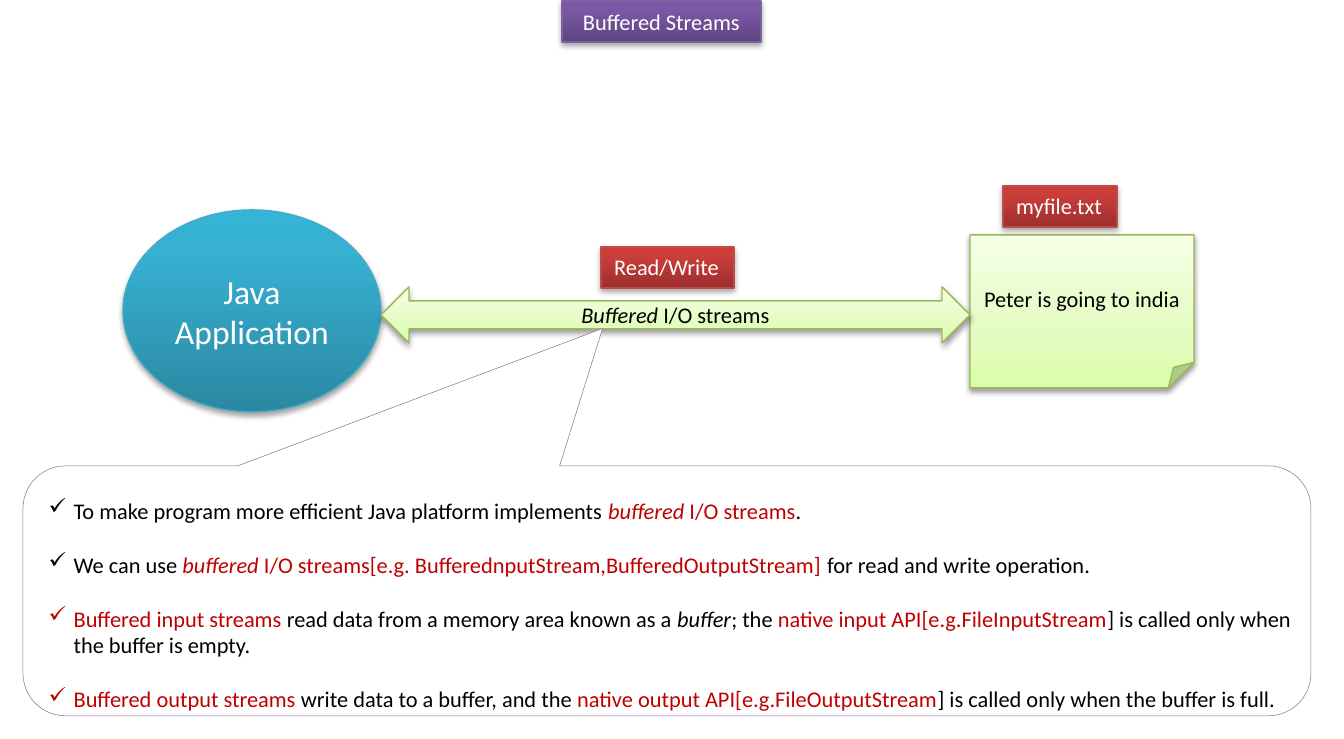
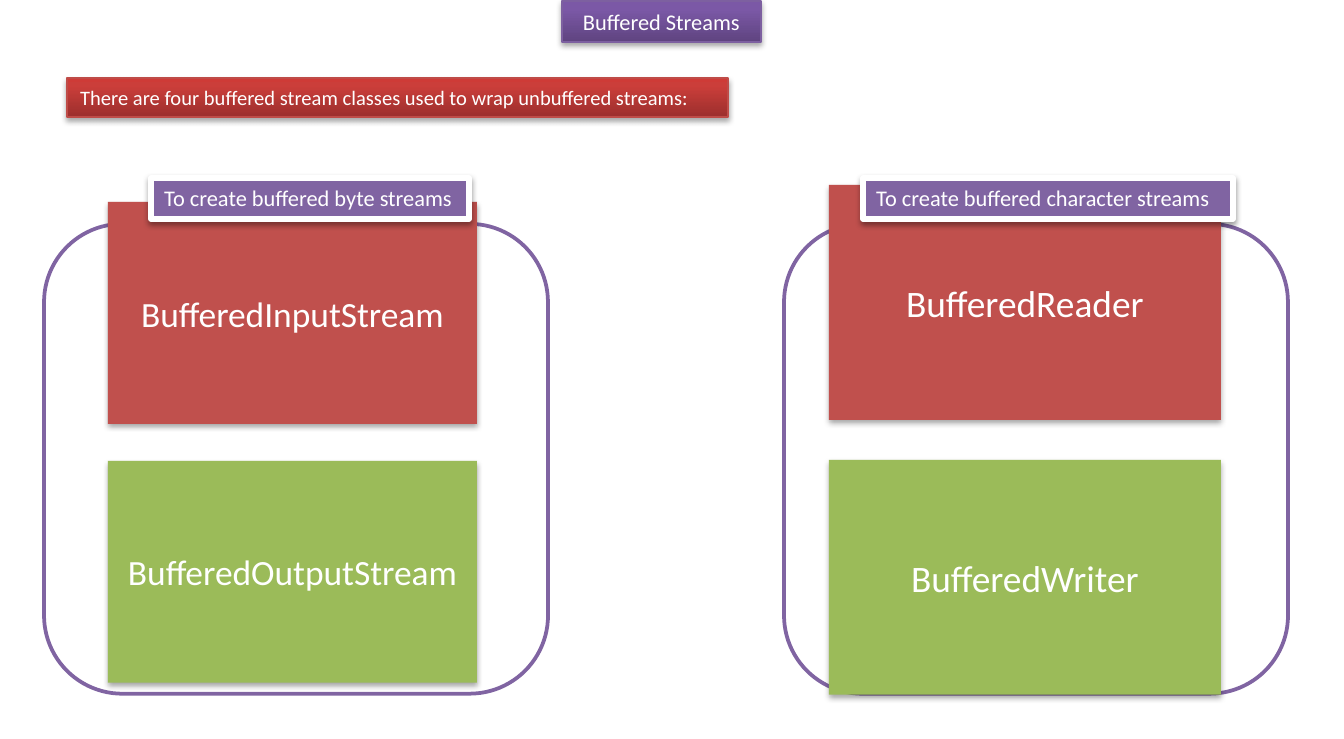
from lxml import etree
from pptx import Presentation, util as u
from pptx.dml.color import RGBColor
from pptx.enum import shapes, text
from pptx.oxml.ns import qn

PX = 914400 / 134.4
KIND = shapes.MSO_SHAPE
LEFT, CENTER = text.PP_ALIGN.LEFT, text.PP_ALIGN.CENTER
TOP, MIDDLE = text.MSO_ANCHOR.TOP, text.MSO_ANCHOR.MIDDLE

WHITE = RGBColor(0xFF, 0xFF, 0xFF)
BLACK = RGBColor(0, 0, 0)
CRIMSON = RGBColor(0xC0, 0, 0)
RED = RGBColor(0xC0, 0x50, 0x4D)
GREEN = RGBColor(0x9B, 0xBB, 0x59)
PURPLE = RGBColor(0x80, 0x64, 0xA2)

# Gradients run from the bottom up: (position in percent, colour)
PURPLE_FADE = ((0, "5F4480"), (80, "7B58A6"), (100, "7C57A8"))
RED_FADE = ((0, "9C2F2D"), (80, "CB3E3A"), (100, "CE3B37"))
TEAL_FADE = ((0, "2A88A2"), (80, "37B1D2"), (100, "34B4D6"))
LIME_FADE = ((0, "DAFDA7"), (35, "E4FCC2"), (100, "F5FFE7"))

# Shadows: (opacity in percent, distance in points)
DEEP, SOFT = (35, 1.8), (38, 1.6)

# Looks: fill, line colour, line width, shadow
TITLE_LOOK = (PURPLE_FADE, RGBColor(0x7D, 0x60, 0xA0), 0.75, DEEP)
LABEL_LOOK = (RED_FADE, RGBColor(0xBF, 0x4C, 0x48), 0.75, DEEP)
APP_LOOK = (TEAL_FADE, RGBColor(0x46, 0xAA, 0xC5), 0.75, DEEP)
FILE_LOOK = (LIME_FADE, RGBColor(0x98, 0xB9, 0x55), 0.75, SOFT)
HEADING_LOOK = (PURPLE, WHITE, 3, SOFT)
NOTE_LOOK = (WHITE, PURPLE, 0.25, None)
PANEL_LOOK = (WHITE, PURPLE, 2, None)


def draw(shape, place, look):
    """Place a shape and give it fill, line and shadow."""
    for name, value in zip(("left", "top", "width", "height"), place):
        setattr(shape, name, round(value * PX))
    fill, line, width, shadow = look
    if isinstance(fill, RGBColor):
        shape.fill.solid()
        shape.fill.fore_color.rgb = fill
    else:
        shape.fill.gradient()
        shape.fill.gradient_angle = 90
        stops = shape.element.spPr.find(qn("a:gradFill")).find(qn("a:gsLst"))
        stops.clear()
        for position, colour in fill:
            stop = etree.SubElement(stops, qn("a:gs"), pos=str(position * 1000))
            etree.SubElement(stop, qn("a:srgbClr"), val=colour)
    if line is None:
        shape.line.fill.background()
    else:
        shape.line.color.rgb = line
        shape.line.width = u.Pt(width)
    shape.shadow.inherit = False
    if shadow:
        opacity, distance = shadow
        effects = shape.element.spPr.find(qn("a:effectLst"))
        outer = etree.SubElement(
            effects, qn("a:outerShdw"), blurRad=str(u.Pt(3.1)),
            dist=str(u.Pt(distance)), dir="5400000", rotWithShape="0")
        colour = etree.SubElement(outer, qn("a:srgbClr"), val="000000")
        etree.SubElement(colour, qn("a:alpha"), val=str(opacity * 1000))
    return shape


def write(shape, paragraphs, align=CENTER, anchor=MIDDLE, size=12, color=WHITE, bullet=None):
    """Fill a shape with paragraphs, each a list of (words, format) spans."""
    frame = shape.text_frame
    frame.auto_size = text.MSO_AUTO_SIZE.NONE
    frame.word_wrap = True
    frame.vertical_anchor = anchor
    if align == LEFT:
        frame.margin_right = 0
    for index, spans in enumerate(paragraphs):
        para = frame.add_paragraph() if index else frame.paragraphs[0]
        para.alignment = align
        if bullet:
            properties = para._p.get_or_add_pPr()
            properties.set("marL", str(round(25 * PX)))
            properties.set("indent", str(round(-25 * PX)))
            etree.SubElement(properties, qn("a:buChar"), char=bullet)
            if index:
                para.space_before = u.Pt(14.5)
        for words, changes in spans:
            span = para.add_run()
            span.text = words
            style = {"name": "Calibri", "size": u.Pt(size), "color": color, **changes}
            span.font.color.rgb = style.pop("color")
            for name, value in style.items():
                setattr(span.font, name, value)


deck = Presentation()
deck.slide_width, deck.slide_height = u.Inches(10), u.Inches(5.5)

# Shared title
pages = []
for number in range(2):
    page = deck.slides.add_slide(deck.slide_layouts[5])
    title = draw(page.shapes.title, (562, 1, 199, 41), TITLE_LOOK)
    write(title, [[("Buffered Streams", {})]], anchor=TOP)
    pages.append(page)
flow, classes = pages

# Slide 1: application, file and the stream between them
for kind, place, look, size, color, spans in (
    (KIND.OVAL, (123, 210, 258, 202), APP_LOOK, 18, WHITE, [("Java Application", {})]),
    (KIND.FOLDED_CORNER, (970, 235, 224, 153), FILE_LOOK, 12, BLACK,
     [("Peter is going to india", {})]),
    (KIND.LEFT_RIGHT_ARROW, (381, 287, 589, 56), FILE_LOOK, 12, BLACK,
     [("Buffered", {"italic": True}), (" I/O streams", {})]),
):
    box = draw(flow.shapes.add_shape(kind, 0, 0, 0, 0), place, look)
    write(box, [spans], size=size, color=color)

# Slide 1: callout on buffered streams
callout = draw(flow.shapes.add_shape(KIND.ROUNDED_RECTANGULAR_CALLOUT, 0, 0, 0, 0),
               (23, 466, 1288, 250), NOTE_LOOK)
for index, value in enumerate((-0.05, -1.05, 0.17)):
    callout.adjustments[index] = value
callout.text_frame.margin_top = round(34 * PX)
ACCENT = {"color": CRIMSON}
ACCENT_ITALIC = {"color": CRIMSON, "italic": True}
write(callout, [
    [("To make program more efficient Java platform implements ", {}),
     ("buffered", ACCENT_ITALIC), (" I/O streams", ACCENT), (".", {})],
    [("We can use ", {}), ("buffered", ACCENT_ITALIC),
     (" I/O streams[e.g. BufferednputStream,BufferedOutputStream] ", ACCENT),
     ("for read and write operation.", {})],
    [("Buffered input streams ", ACCENT), ("read data from a memory area known as a ", {}),
     ("buffer", {"italic": True}), ("; the ", {}),
     ("native input API[e.g.FileInputStream", ACCENT),
     ("] is called only when the buffer is empty.", {})],
    [("Buffered output streams", ACCENT), (" write data to a buffer, and the ", {}),
     ("native output API[e.g.FileOutputStream", ACCENT),
     ("] is called only when the buffer is full.", {})],
], align=LEFT, color=BLACK, bullet="✓")

# Slide 2: panels, each with a pair of class cards
for panel_left, card_left, card_width, card_height, tops, size, names in (
    (44, 108, 369, 222, (202, 461), 19, ("BufferedInputStream", "BufferedOutputStream")),
    (784, 829, 392, 235, (185, 460), 20, ("BufferedReader", "BufferedWriter")),
):
    draw(classes.shapes.add_shape(KIND.ROUNDED_RECTANGLE, 0, 0, 0, 0),
         (panel_left, 224, 504, 470), PANEL_LOOK)
    for top, name, fill in zip(tops, names, (RED, GREEN)):
        card = draw(classes.shapes.add_shape(KIND.RECTANGLE, 0, 0, 0, 0),
                    (card_left, top, card_width, card_height), (fill, None, 0, DEEP))
        write(card, [[(name, {})]], size=size)

# Labels on both slides
for page, place, look, size, words in (
    (flow, (1003, 186, 114, 41), LABEL_LOOK, 12, "myfile.txt"),
    (flow, (601, 247, 133, 41), LABEL_LOOK, 12, "Read/Write"),
    (classes, (67, 78, 661, 39), LABEL_LOOK, 11,
     "There are four buffered stream classes used to wrap unbuffered streams:"),
    (classes, (151, 178, 318, 41), HEADING_LOOK, 12, "To create buffered byte streams"),
    (classes, (863, 178, 370, 41), HEADING_LOOK, 12, "To create buffered character streams"),
):
    label = draw(page.shapes.add_shape(KIND.RECTANGLE, 0, 0, 0, 0), place, look)
    write(label, [[(words, {})]], align=LEFT, anchor=TOP, size=size)

deck.save("out.pptx")
